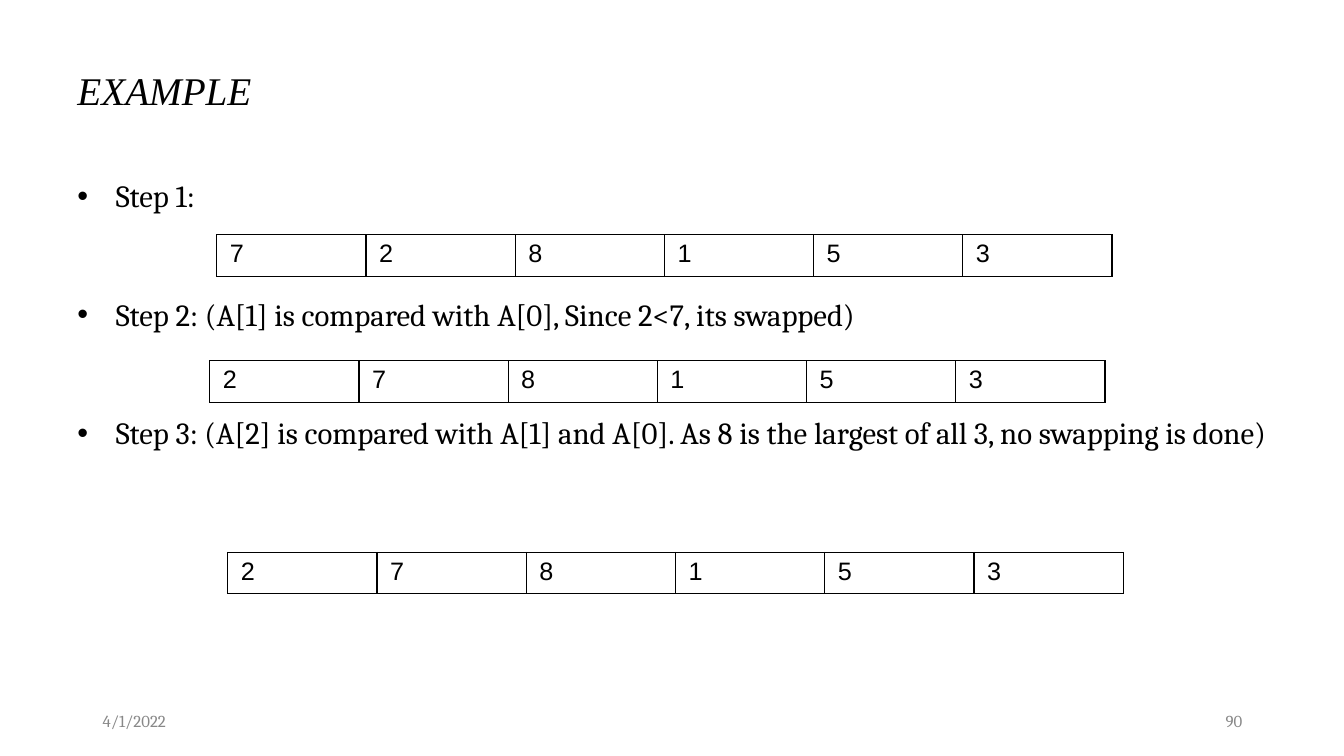
from lxml import etree
from pptx import Presentation
from pptx.dml.color import RGBColor
from pptx.enum.text import MSO_ANCHOR, PP_ALIGN
from pptx.oxml.ns import qn
from pptx.util import Pt

LEFT, RIGHT = PP_ALIGN.LEFT, PP_ALIGN.RIGHT
TOP, MIDDLE = MSO_ANCHOR.TOP, MSO_ANCHOR.MIDDLE
PX = 9144  # 100 px to the inch

THEME = {
    "paper": RGBColor(255, 255, 255),
    "line": "000000",
    "title": {"name": "Times New Roman", "size": Pt(28), "italic": True, "color": "000000"},
    "step": {"name": "Cambria", "size": Pt(22), "color": "000000"},
    "cell": {"name": "Arial", "size": Pt(18), "color": "000000"},
    "footer": {"name": "Cambria", "size": Pt(12), "color": "888888"},
}


def write(para, text, style):
    span = para.add_run()
    span.text = text
    for key, value in THEME[style].items():
        if key == "color":
            span.font.color.rgb = RGBColor.from_string(value)
        else:
            setattr(span.font, key, value)


def add_box(left, top, width, height, anchor):
    box = page.shapes.add_textbox(left * PX, top * PX, width * PX, height * PX)
    box.text_frame.word_wrap = True
    box.text_frame.vertical_anchor = anchor
    return box.text_frame


deck = Presentation()
deck.slide_width, deck.slide_height = 1333 * PX, 750 * PX
page = deck.slides.add_slide(deck.slide_layouts[6])
page.background.fill.solid()
page.background.fill.fore_color.rgb = THEME["paper"]

# Title
title = add_box(67, 30, 1200, 125, MIDDLE).paragraphs[0]
title.line_spacing = 0.9
write(title, "EXAMPLE", "title")

# Steps, spaced apart to leave room for the arrays
STEPS = [
    "Step 1:",
    "Step 2: (A[1] is compared with A[0], Since 2<7, its swapped)",
    "Step 3: (A[2] is compared with A[1] and A[0]. As 8 is the largest of all 3, no swapping is done)",
]
body = add_box(67, 175, 1200, 495, TOP)
body.margin_right = 5 * PX
for index, step in enumerate(STEPS):
    para = body.add_paragraph() if index else body.paragraphs[0]
    props = para._p.get_or_add_pPr()
    props.set("marL", str(38 * PX))
    props.set("indent", str(-38 * PX))
    color = etree.SubElement(props, qn("a:buClr"))
    etree.SubElement(color, qn("a:srgbClr"), val=THEME["line"])
    etree.SubElement(props, qn("a:buFont"), typeface="Arial")
    etree.SubElement(props, qn("a:buChar"), char="•")
    para.line_spacing = 0.9
    if index:
        para.space_before = Pt(60.6)
    write(para, step, "step")

# Array after each step: left, top, values
ARRAYS = [(215, 233, "728153"), (208, 358, "278153"), (226, 548, "278153")]
CELL_WIDTH, CELL_HEIGHT = 148, 41
for left, top, values in ARRAYS:
    count = len(values)
    table = page.shapes.add_table(1, count, left * PX, top * PX,
                                  count * CELL_WIDTH * PX, CELL_HEIGHT * PX).table
    table.first_row = table.horz_banding = False
    for cell, value in zip(table.iter_cells(), values):
        props = cell._tc.get_or_add_tcPr()
        for side in ("a:lnL", "a:lnR", "a:lnT", "a:lnB"):
            border = etree.SubElement(props, qn(side), w=str(Pt(1)))
            fill = etree.SubElement(border, qn("a:solidFill"))
            etree.SubElement(fill, qn("a:srgbClr"), val=THEME["line"])
        cell.fill.solid()
        cell.fill.fore_color.rgb = THEME["paper"]
        cell.margin_left = cell.margin_right = 13 * PX
        cell.margin_top = cell.margin_bottom = 5 * PX
        write(cell.text_frame.paragraphs[0], value, "cell")

# Date and page number
for left, text, align in [(92, "4/1/2022", LEFT), (942, "90", RIGHT)]:
    para = add_box(left, 695, 300, 40, MIDDLE).paragraphs[0]
    para.alignment = align
    write(para, text, "footer")

deck.save("out.pptx")
